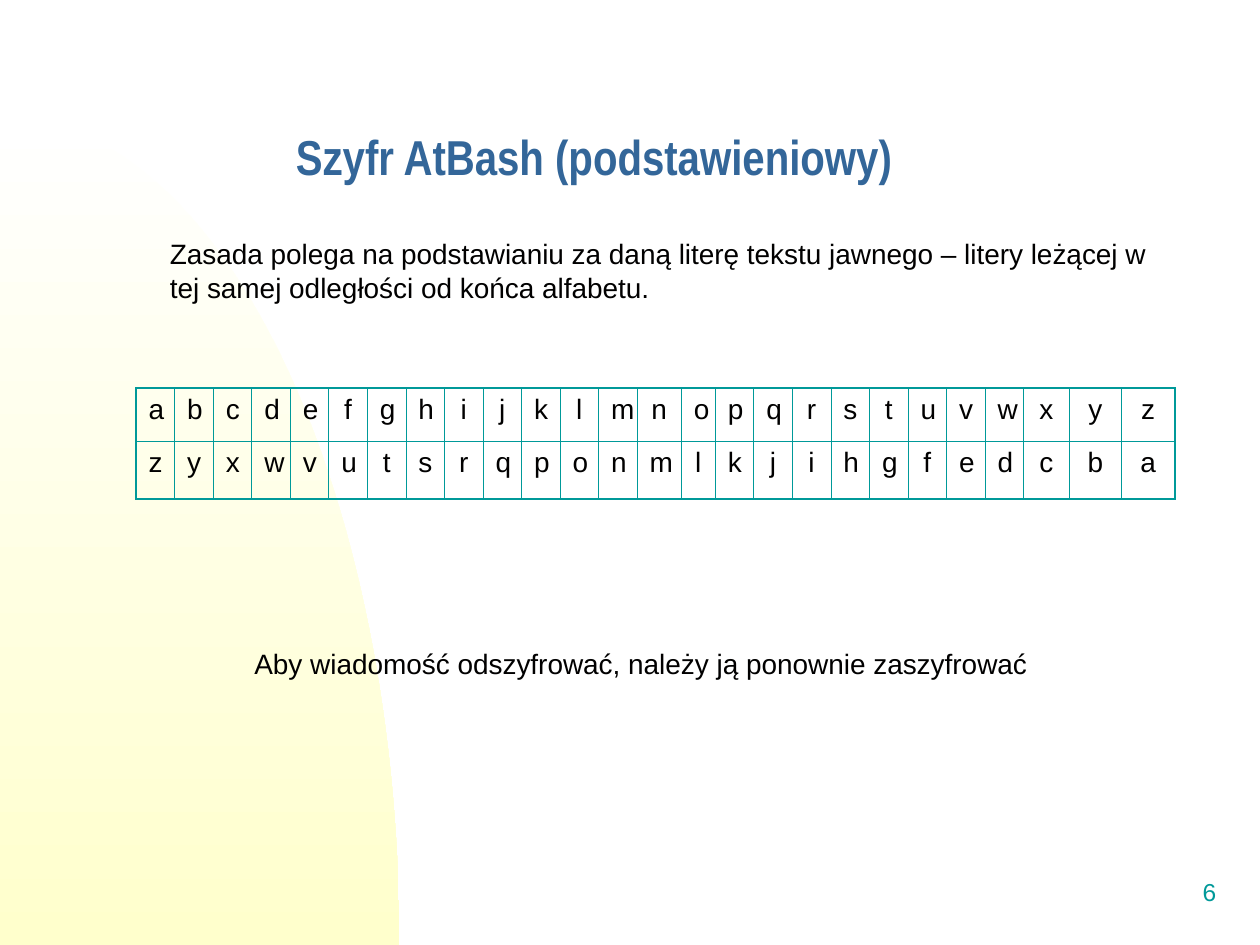
import math

from lxml import etree
from pptx import Presentation
from pptx.dml.color import RGBColor
from pptx.enum.text import MSO_ANCHOR, PP_ALIGN
from pptx.oxml.ns import qn
from pptx.util import Inches, Pt

LEFT, CENTER, RIGHT = PP_ALIGN.LEFT, PP_ALIGN.CENTER, PP_ALIGN.RIGHT
TOP, MIDDLE = MSO_ANCHOR.TOP, MSO_ANCHOR.MIDDLE
WIDTH, HEIGHT = 10, 7.5
INK, TEAL, BLUE = "010000", "009999", "336699"
THIN, THICK = 0.45, 1.08
ALPHABET = "abcdefghijklmnopqrstuvwxyz"
TABLE_WIDTH = 8.25
SPECIAL_WIDTHS = {"n": 0.35, "o": 0.27, "x": 0.36, "y": 0.42, "z": 0.42}
ROW_HEIGHTS = (0.42, 0.46)


def color(value):
    return RGBColor.from_string(value)


def add_span(para, text, size, ink=INK, font="Arial", bold=False):
    span = para.add_run()
    span.text = text
    span.font.size = Pt(size)
    span.font.name = font
    span.font.bold = bold
    span.font.color.rgb = color(ink)


def add_text(slide, area, text, size, align=LEFT, anchor=TOP, spacing=None, **style):
    box = slide.shapes.add_textbox(*(Inches(length) for length in area))
    frame = box.text_frame
    frame.word_wrap = True
    frame.vertical_anchor = anchor
    para = frame.paragraphs[0]
    para.alignment = align
    para.line_spacing = spacing
    add_span(para, text, size, **style)


def add_quarter_ellipse(slide, width, height, steps=60):
    angles = [math.pi / 2 * step / steps for step in range(steps + 1)]
    curve = [
        (Inches(width * math.sin(angle)), Inches(HEIGHT - height * math.cos(angle)))
        for angle in angles
    ]
    builder = slide.shapes.build_freeform(*curve[0])
    builder.add_line_segments(curve[1:] + [(0, Inches(HEIGHT))], close=True)
    shape = builder.convert_to_shape()
    shape.shadow.inherit = False
    shape.line.fill.background()
    shape.fill.gradient()
    shape.fill.gradient_angle = 270
    for stop, shade in zip(shape.fill.gradient_stops, ("FFFFFF", "FFFFCC")):
        stop.color.rgb = color(shade)


def set_borders(cell, widths):
    properties = cell._tc.get_or_add_tcPr()
    for side, width in widths.items():
        line = etree.SubElement(properties, qn(f"a:ln{side}"), w=str(Pt(width)))
        fill = etree.SubElement(line, qn("a:solidFill"))
        etree.SubElement(fill, qn("a:srgbClr"), val=TEAL)


def add_cipher_table(slide, left, top):
    rows = (ALPHABET, ALPHABET[::-1])
    last_row, last_column = len(rows) - 1, len(ALPHABET) - 1
    frame = slide.shapes.add_table(
        len(rows), len(ALPHABET), Inches(left), Inches(top),
        Inches(TABLE_WIDTH), Inches(sum(ROW_HEIGHTS)),
    )
    table = frame.table
    table.first_row = table.horz_banding = False
    regular = (TABLE_WIDTH - sum(SPECIAL_WIDTHS.values())) / (
        len(ALPHABET) - len(SPECIAL_WIDTHS)
    )
    for column, letter in zip(table.columns, ALPHABET):
        column.width = Inches(SPECIAL_WIDTHS.get(letter, regular))
    for row, height in zip(table.rows, ROW_HEIGHTS):
        row.height = Inches(height)
    for row, letters in enumerate(rows):
        for column, letter in enumerate(letters):
            cell = table.cell(row, column)
            para = cell.text_frame.paragraphs[0]
            para.alignment = CENTER
            para.space_before = Pt(4)
            add_span(para, letter, 16)
            set_borders(cell, {
                "L": THICK if column == 0 else THIN,
                "R": THICK if column == last_column else THIN,
                "T": THICK if row == 0 else THIN,
                "B": THICK if row == last_row else THIN,
            })
            cell.fill.background()


def main():
    deck = Presentation()
    deck.slide_width, deck.slide_height = Inches(WIDTH), Inches(HEIGHT)
    slide = deck.slides.add_slide(deck.slide_layouts[6])
    add_quarter_ellipse(slide, 3.17, 6.58)
    add_text(slide, (7.67, 6.83, 2.08, 0.5), "6", 14, RIGHT, MIDDLE, ink=TEAL)
    add_text(
        slide, (2.25, 0.67, 7.5, 1.25), "Szyfr AtBash (podstawieniowy)", 28,
        anchor=MIDDLE, spacing=0.7, ink=BLUE, font="Arial Narrow", bold=True,
    )
    add_text(
        slide, (1.25, 1.83, 8, 0.64),
        "Zasada polega na podstawianiu za daną literę tekstu jawnego – "
        "litery leżącej w tej samej odległości od końca alfabetu.", 16,
    )
    add_cipher_table(slide, 1.08, 3.08)
    add_text(
        slide, (1.92, 5.08, 7.58, 0.64),
        "Aby wiadomość odszyfrować, należy ją ponownie zaszyfrować", 16,
    )
    deck.save("out.pptx")


if __name__ == "__main__":
    main()
